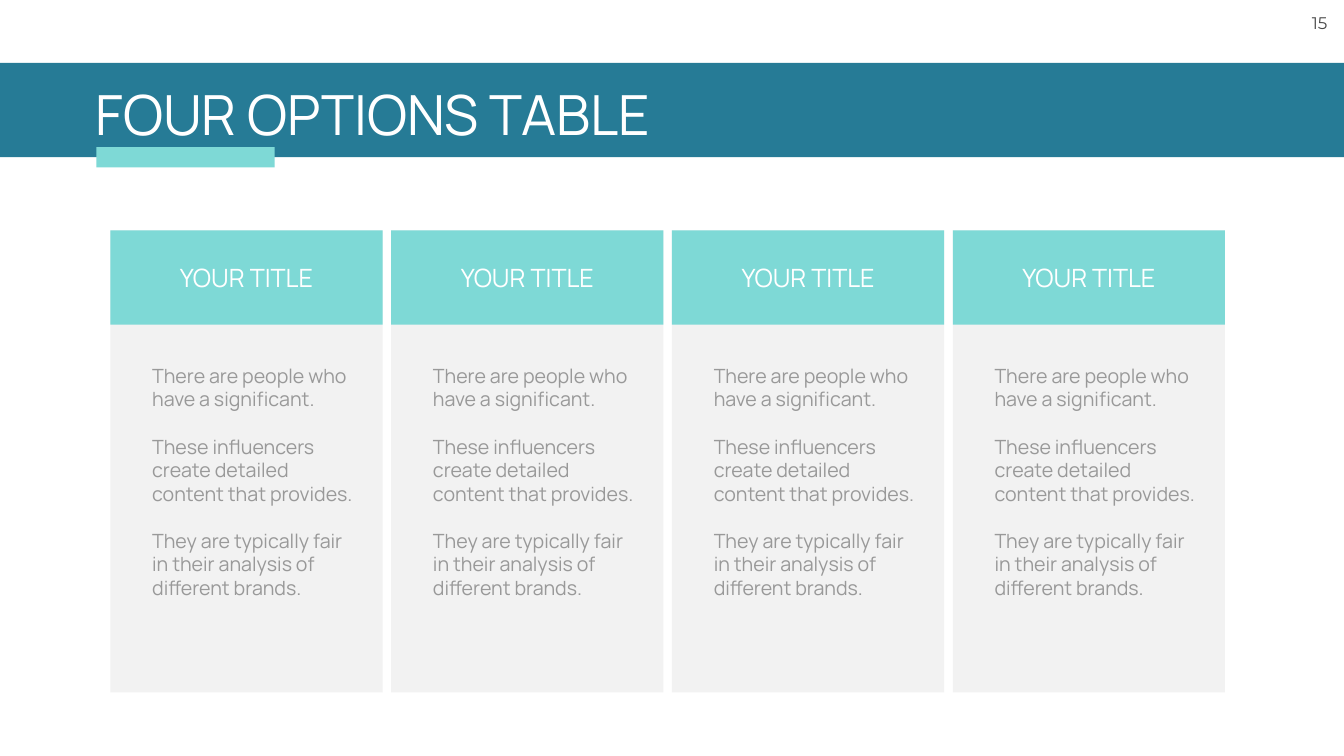
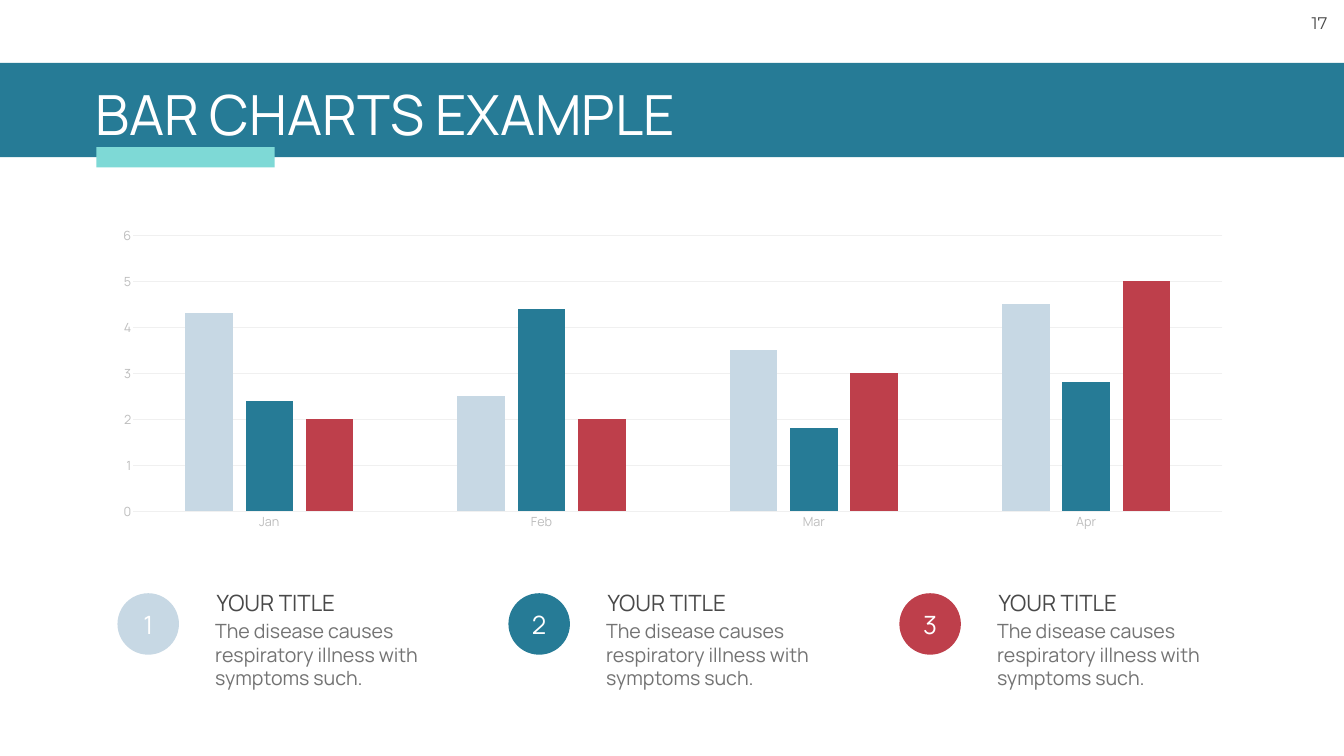
from dataclasses import dataclass
from typing import Any

import lxml.etree
import pptx
import pptx.chart.data
import pptx.dml.color
import pptx.enum.chart
import pptx.enum.shapes
import pptx.enum.text
import pptx.oxml.ns
import pptx.util

COLUMNS, ROWS = 266.6, 150
CELL = pptx.util.Inches(15) / ROWS

MSO_SHAPE = pptx.enum.shapes.MSO_SHAPE
ALIGN = pptx.enum.text.PP_ALIGN
ANCHOR = pptx.enum.text.MSO_ANCHOR
GROW = pptx.enum.text.MSO_AUTO_SIZE.SHAPE_TO_FIT_TEXT


@dataclass(frozen=True)
class TextStyle:
    size: float
    color: str
    font: str = "Manrope"
    align: Any = None


@dataclass(frozen=True)
class Theme:
    teal: str = "267B96"
    mint: str = "7ED9D6"
    panel: str = "F2F2F2"
    mist: str = "C7D8E4"
    red: str = "BE3F4B"
    grid: str = "F0F0F0"
    number: TextStyle = TextStyle(24, "494949", "Montserrat", ALIGN.CENTER)
    title: TextStyle = TextStyle(79, "FFFFFF")
    label: TextStyle = TextStyle(36, "FFFFFF", align=ALIGN.CENTER)
    option: TextStyle = TextStyle(28, "999999")
    heading: TextStyle = TextStyle(32, "494949")
    body: TextStyle = TextStyle(28, "737373")
    chart: TextStyle = TextStyle(18, "999999")
    axis: TextStyle = TextStyle(18, "BDBDBD")


THEME = Theme()


@dataclass(frozen=True)
class Box:
    """An area in grid columns and rows."""
    col: float
    row: float
    cols: float
    rows: float

    def shift(self, cols: float) -> "Box":
        return Box(self.col + cols, self.row, self.cols, self.rows)

    def emu(self) -> list[int]:
        return [round(n * CELL) for n in (self.col, self.row, self.cols, self.rows)]


@dataclass(frozen=True)
class Callout:
    mark: str
    color: str
    heading_cols: float
    heading: str = "YOUR TITLE"
    body: str = "The disease causes respiratory illness with symptoms such."


OPTION_TITLES = ["YOUR TITLE"] * 4
OPTION_TEXT = [
    "There are people who have a significant.",
    "These influencers create detailed content that provides.",
    "They are typically fair in their analysis of different brands.",
]
OPTION_STEP = 55.7
OPTION_GAP = pptx.util.Pt(THEME.option.size * 1.2)

CALLOUTS = [
    Callout("1", THEME.mist, 53.5),
    Callout("2", THEME.teal, 53.5),
    Callout("3", THEME.red, 46.2),
]
CALLOUT_STEP = 77.55

MONTHS = ["Jan", "Feb", "Mar", "Apr"]
SERIES = {
    "Series 1": (THEME.mist, (4.3, 2.5, 3.5, 4.5)),
    "Series 2": (THEME.teal, (2.4, 4.4, 1.8, 2.8)),
    "Series 3": (THEME.red, (2, 2, 3, 5)),
}
PLOT_SHARES = {"x": 0.03, "y": 0.05, "w": 0.95, "h": 0.87}


def apply(target: Any, values: dict[str, Any]) -> None:
    for name, value in values.items():
        setattr(target, name, value)


def rgb(color: str) -> pptx.dml.color.RGBColor:
    return pptx.dml.color.RGBColor.from_string(color)


def paint(fmt: Any, color: str) -> None:
    fmt.fill.solid()
    fmt.fill.fore_color.rgb = rgb(color)


def style_font(font: Any, style: TextStyle) -> None:
    apply(font, {"name": style.font, "size": pptx.util.Pt(style.size)})
    font.color.rgb = rgb(style.color)


def write(tf: Any, lines: list[str], style: TextStyle, gap: int = 0, **frame: Any) -> None:
    """Fill a text frame, one paragraph a line, with gap between paragraphs."""
    apply(tf, frame)
    for i, line in enumerate(lines):
        p = tf.add_paragraph() if i else tf.paragraphs[0]
        if i:
            p.space_before = gap
        p.alignment = style.align
        r = p.add_run()
        r.text = line
        style_font(r.font, style)


def add_text(shapes: Any, box: Box, lines: list[str], style: TextStyle,
             gap: int = 0, wrap: bool = True, **frame: Any) -> None:
    tf = shapes.add_textbox(*box.emu()).text_frame
    write(tf, lines, style, gap, word_wrap=wrap, auto_size=GROW, **frame)


def add_block(shapes: Any, box: Box, color: str, label: str = "",
              kind: Any = MSO_SHAPE.RECTANGLE, wrap: bool = True) -> None:
    sp = shapes.add_shape(kind, *box.emu())
    sp.shadow.inherit = False
    paint(sp, color)
    sp.line.fill.background()
    if label:
        write(sp.text_frame, [label], THEME.label, word_wrap=wrap,
              vertical_anchor=ANCHOR.MIDDLE)


def add_titled_slide(prs: Any, title: str, number: str) -> Any:
    s = prs.slides.add_slide(prs.slide_layouts[6])
    inch = pptx.util.Inches
    add_text(s.shapes, Box(257.4, 1.6, 10.3, 6.1), [number], THEME.number, wrap=False,
             margin_left=inch(0.2), margin_right=inch(0.36),
             margin_top=inch(0.1), margin_bottom=inch(0.1))
    shapes = s.shapes.add_group_shape().shapes
    add_block(shapes, Box(0, 12.5, COLUMNS, 18.7), THEME.teal)
    add_block(shapes, Box(19.1, 29.2, 35.4, 4), THEME.mint)
    add_text(shapes, Box(17.9, 15.5, 120, 14.3), [title], THEME.title, wrap=False)
    return s


def add_options(s: Any) -> None:
    shifts = [i * OPTION_STEP for i in range(len(OPTION_TITLES))]
    for shift in shifts:
        add_block(s.shapes, Box(21.9, 45.7, 54, 91.7).shift(shift), THEME.panel)
    for shift in shifts:
        add_text(s.shapes, Box(29.2, 71.7, 43.1, 57.6).shift(shift),
                 OPTION_TEXT, THEME.option, OPTION_GAP)
    for shift, title in zip(shifts, OPTION_TITLES):
        add_block(s.shapes, Box(21.9, 45.7, 54, 18.7).shift(shift), THEME.mint, title)


def set_plot_layout(chart: Any) -> None:
    """Fix the inner plot area as shares of the chart frame."""
    qn = pptx.oxml.ns.qn
    area = chart.element.find(".//" + qn("c:plotArea"))
    for old in area.findall(qn("c:layout")):
        area.remove(old)
    layout = lxml.etree.Element(qn("c:layout"))
    manual = lxml.etree.SubElement(layout, qn("c:manualLayout"))
    values = {"layoutTarget": "inner", "xMode": "edge", "yMode": "edge", **PLOT_SHARES}
    for name, value in values.items():
        lxml.etree.SubElement(manual, qn("c:" + name)).set("val", str(value))
    area.insert(0, layout)


def add_month_chart(s: Any) -> None:
    xl = pptx.enum.chart
    data = pptx.chart.data.CategoryChartData()
    data.categories = MONTHS
    for name, (_, values) in SERIES.items():
        data.add_series(name, values)
    chart = s.shapes.add_chart(xl.XL_CHART_TYPE.COLUMN_CLUSTERED,
                               *Box(19.6, 43.5, 227.4, 63).emu(), data).chart
    apply(chart, {"has_legend": False, "has_title": False})
    style_font(chart.font, THEME.chart)
    plot = chart.plots[0]
    apply(plot, {"gap_width": 219, "overlap": -27, "vary_by_categories": False})
    for series, (color, _) in zip(plot.series, SERIES.values()):
        paint(series.format, color)

    months, scale = chart.category_axis, chart.value_axis
    for axis in (months, scale):
        apply(axis, {"major_tick_mark": xl.XL_TICK_MARK.NONE,
                     "minor_tick_mark": xl.XL_TICK_MARK.NONE})
        style_font(axis.tick_labels.font, THEME.axis)
    apply(scale, {"minimum_scale": 0, "maximum_scale": 6, "major_unit": 1,
                  "has_major_gridlines": True})
    scale.format.line.fill.background()
    for line in (months.format.line, scale.major_gridlines.format.line):
        line.width = pptx.util.Pt(0.75)
        line.color.rgb = rgb(THEME.grid)
    set_plot_layout(chart)


def add_callouts(s: Any) -> None:
    shapes = s.shapes.add_group_shape().shapes
    for i, item in enumerate(CALLOUTS):
        shift = i * CALLOUT_STEP
        add_text(shapes, Box(42, 116.4, item.heading_cols, 6.4).shift(shift),
                 [item.heading], THEME.heading)
        add_text(shapes, Box(41.7, 122.3, 46.5, 15.1).shift(shift),
                 [item.body], THEME.body)
        add_block(shapes, Box(23.3, 117.7, 12.2, 12.2).shift(shift), item.color,
                  item.mark, MSO_SHAPE.OVAL, wrap=False)


def main() -> None:
    prs = pptx.Presentation()
    apply(prs, {"slide_width": round(COLUMNS * CELL), "slide_height": round(ROWS * CELL)})
    add_options(add_titled_slide(prs, "FOUR OPTIONS TABLE", "15"))
    s = add_titled_slide(prs, "BAR CHARTS EXAMPLE", "17")
    add_month_chart(s)
    add_callouts(s)
    prs.save("out.pptx")


if __name__ == "__main__":
    main()
